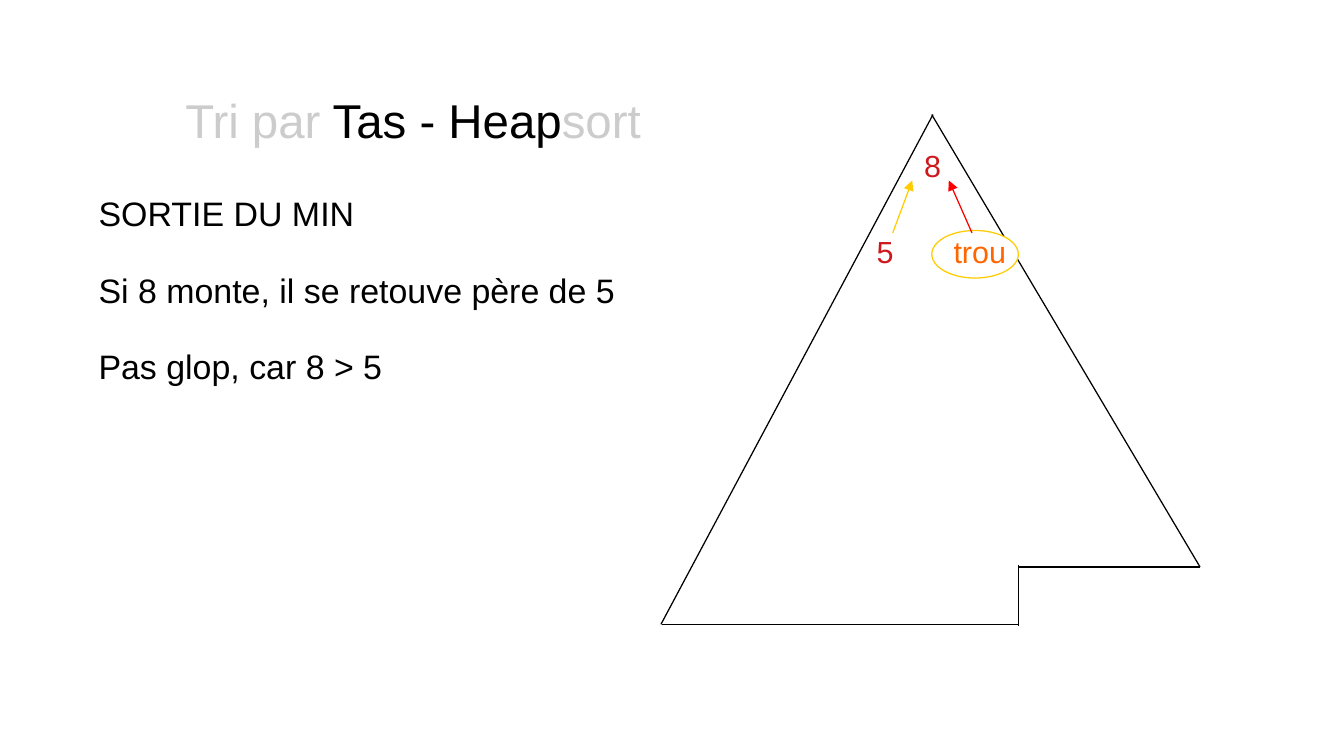
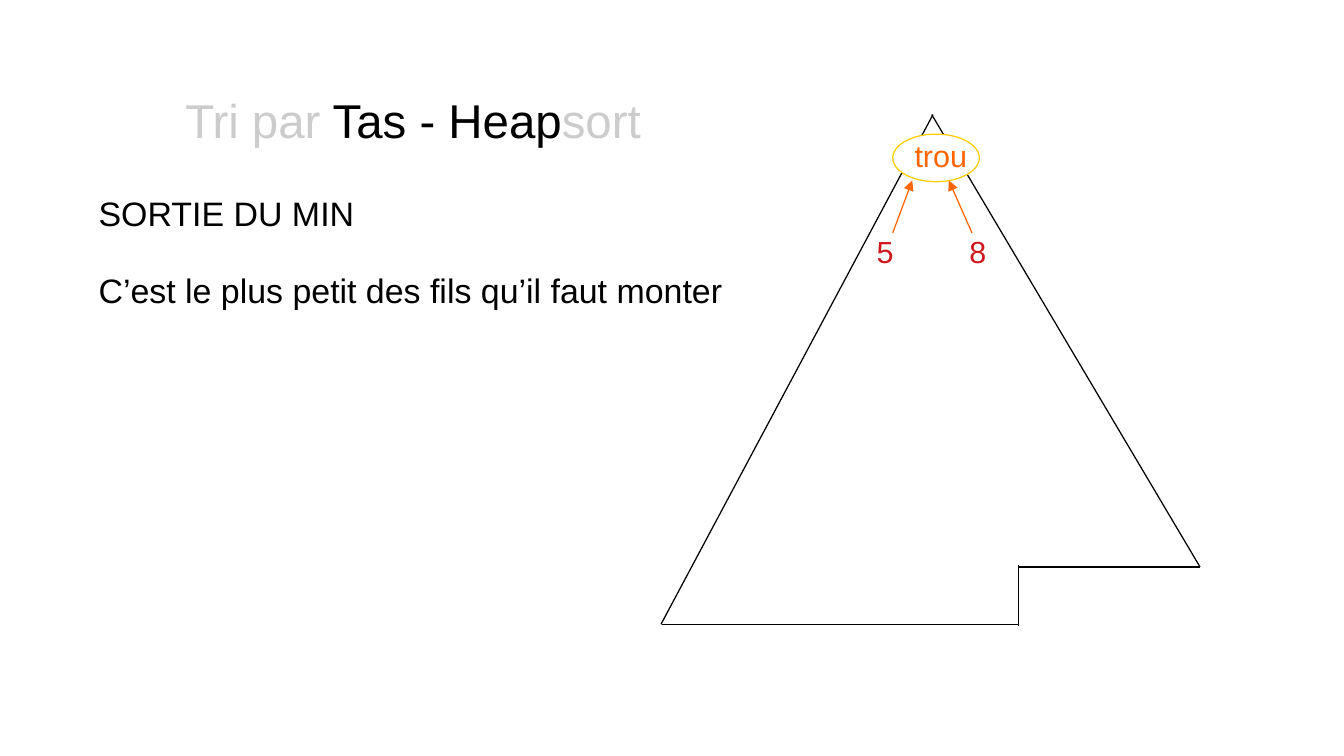
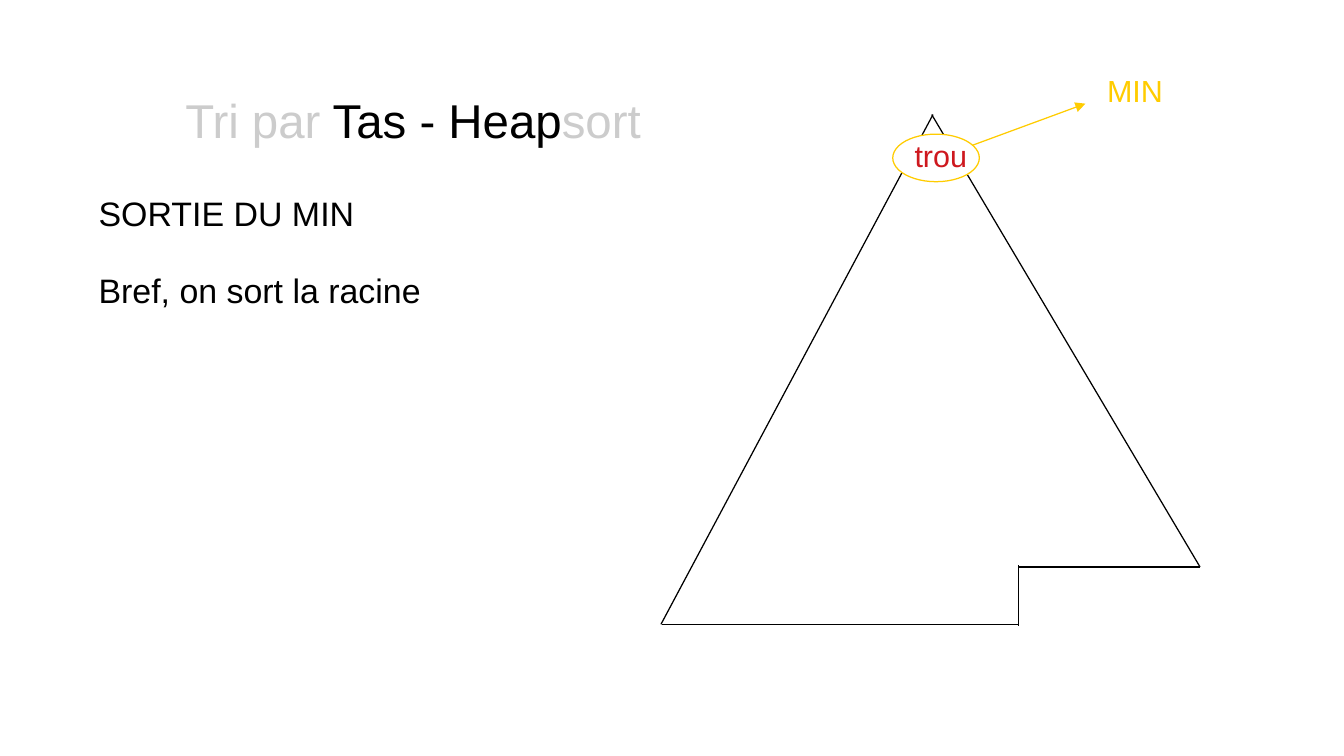
from lxml import etree
from pptx import Presentation, util as u
from pptx.dml import color
from pptx.enum import shapes, text
from pptx.oxml import ns

COLORS = {
    "black": "000000", "white": "FFFFFF", "grey": "CCCCCC", "yellow": "FFCC00",
    "red": "FF0000", "crimson": "CE181E", "orange": "FF6600",
}
FRAME = {
    "word_wrap": True, "auto_size": text.MSO_AUTO_SIZE.NONE,
    "vertical_anchor": text.MSO_ANCHOR.TOP,
    "margin_left": u.Inches(0.1), "margin_right": u.Inches(0.1),
    "margin_top": u.Inches(0.05), "margin_bottom": u.Inches(0.05),
}
PARAGRAPH = {"alignment": text.PP_ALIGN.LEFT, "line_spacing": 0.93}
TITLE = [("Tri par", "grey"), (" Tas - Heap", "black"), ("sort", "grey")]
HEAP_EDGES = [
    ((7.65, 0.94), (5.42, 5.12)),
    ((7.64, 0.94), (9.84, 4.65)),
    ((5.43, 5.12), (8.35, 5.12)),
    ((8.35, 5.13), (8.35, 4.63)),
    ((8.35, 4.65), (9.84, 4.65)),
]
ROOT_HOLE, RIGHT_HOLE = (7.32, 1.1), (7.64, 1.89)
LEFT_CHILD, RIGHT_CHILD, ROOT = (7.09, 1.89), (7.85, 1.89), (7.48, 1.18)
LEFT_RISE = (7.32, 1.91), (7.48, 1.48)
RIGHT_RISE = (7.97, 1.91), (7.78, 1.48)


def rgb(name):
    return color.RGBColor.from_string(COLORS[name])


def apply(target, formats):
    for name, value in formats.items():
        setattr(target, name, value)


class HeapDeck:
    """Hold the deck style and draw heap elements on the current slide."""

    def __init__(self):
        self.deck = Presentation()
        apply(self.deck, {"slide_width": u.Inches(11.02), "slide_height": u.Inches(6.2)})
        self.slide = None

    def start(self, statements, width=5.04):
        self.slide = self.deck.slides.add_slide(self.deck.slide_layouts[5])
        heading = self.slide.shapes.title
        apply(heading, {"left": u.Inches(1.42), "top": u.Inches(0.71),
                        "width": u.Inches(5.98), "height": u.Inches(0.53)})
        self.set_text(heading.text_frame, [TITLE], 28)
        heading.text_frame.margin_top = u.Inches(0.08)
        for begin, end in HEAP_EDGES:
            self.line(begin, end)
        lines = [[(line, "black")] for line in ["SORTIE DU MIN", *statements]]
        self.textbox((0.71, 1.56), (width, 0.41 + 0.62 * len(statements)), lines, 20)

    def set_text(self, frame, paragraphs, size):
        apply(frame, FRAME)
        for index, runs in enumerate(paragraphs):
            paragraph = frame.add_paragraph() if index else frame.paragraphs[0]
            apply(paragraph, PARAGRAPH)
            if index:
                paragraph.space_before = u.Pt(23)
            for words, tint in runs:
                run = paragraph.add_run()
                run.text = words
                apply(run.font, {"name": "Arial", "size": u.Pt(size)})
                run.font.color.rgb = rgb(tint)

    def textbox(self, corner, extent, paragraphs, size):
        box = self.slide.shapes.add_textbox(*map(u.Inches, corner + extent))
        self.set_text(box.text_frame, paragraphs, size)

    def label(self, words, corner, tint="crimson", width=0.39):
        self.textbox(corner, (width, 0.39), [[(words, tint)]], 18)

    def line(self, begin, end, tint="black", arrow=False):
        edge = self.slide.shapes.add_connector(
            shapes.MSO_CONNECTOR.STRAIGHT, *map(u.Inches, begin + end))
        edge.line.color.rgb = rgb(tint)
        edge.line.width = u.Pt(0.75)
        properties = edge.element.spPr
        if arrow:
            outline = properties.find(ns.qn("a:ln"))
            etree.SubElement(outline, ns.qn("a:tailEnd"), type="triangle")
        etree.SubElement(properties, ns.qn("a:effectLst"))

    def arrow(self, ends, tint):
        self.line(*ends, tint, arrow=True)

    def hole(self, corner, tint="orange"):
        left, top = corner
        ring = self.slide.shapes.add_shape(
            shapes.MSO_SHAPE.OVAL, *map(u.Inches, (left, top, 0.71, 0.39)))
        ring.shadow.inherit = False
        ring.fill.solid()
        ring.fill.fore_color.rgb = rgb("white")
        ring.line.color.rgb = rgb("yellow")
        ring.line.width = u.Pt(0.75)
        self.label("trou", (left + 0.08, top), tint, 0.79)


def main():
    heap = HeapDeck()

    heap.start(["Si 8 monte, il se retouve père de 5", "Pas glop, car 8 > 5"])
    heap.hole(RIGHT_HOLE)
    heap.arrow(LEFT_RISE, "yellow")
    heap.arrow(RIGHT_RISE, "red")
    heap.label("5", LEFT_CHILD)
    heap.label("8", ROOT)

    heap.start(["C’est le plus petit des fils qu’il faut monter"], width=5.43)
    heap.hole(ROOT_HOLE)
    for rise in (LEFT_RISE, RIGHT_RISE):
        heap.arrow(rise, "orange")
    heap.label("5", LEFT_CHILD)
    heap.label("8", RIGHT_CHILD)

    heap.start(["Bref, on sort la racine"])
    heap.label("MIN", (8.98, 0.57), "yellow", 1.1)
    heap.arrow(((7.95, 1.2), (8.9, 0.85)), "yellow")
    heap.hole(ROOT_HOLE, "crimson")

    heap.deck.save("out.pptx")


if __name__ == "__main__":
    main()
